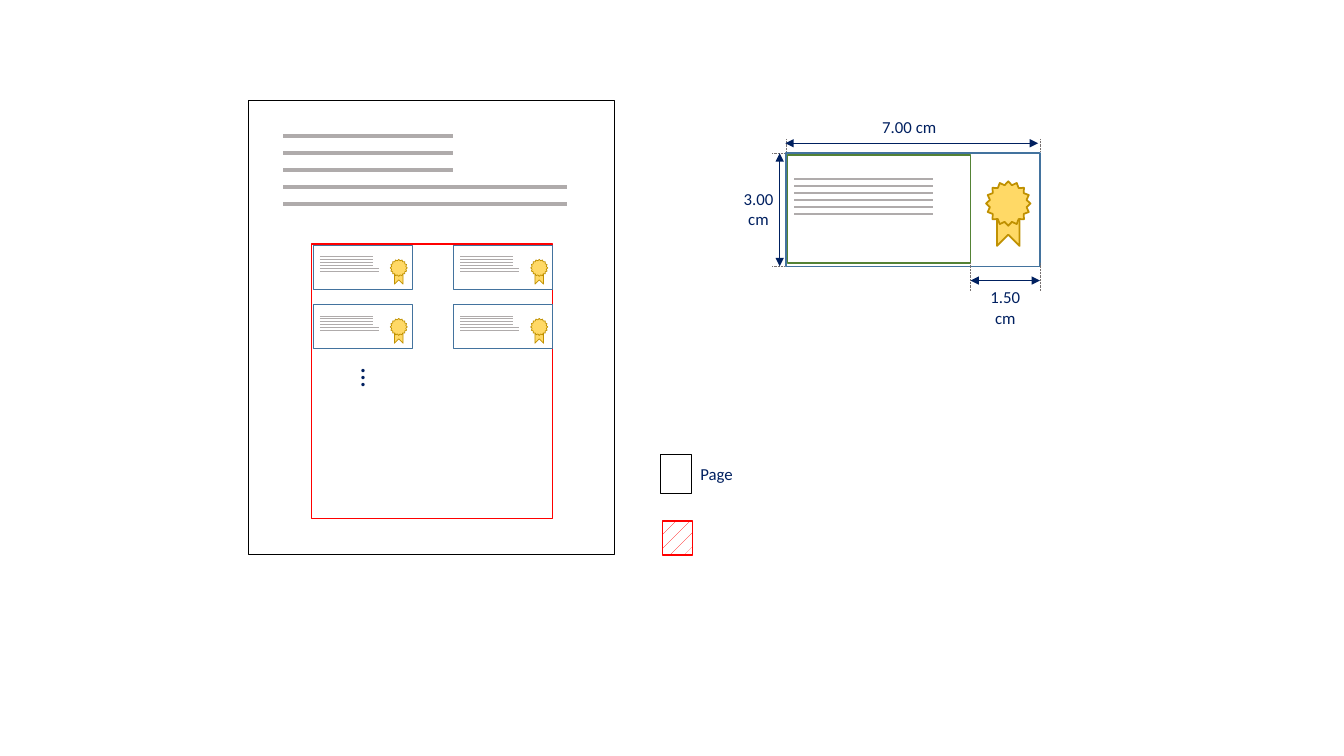
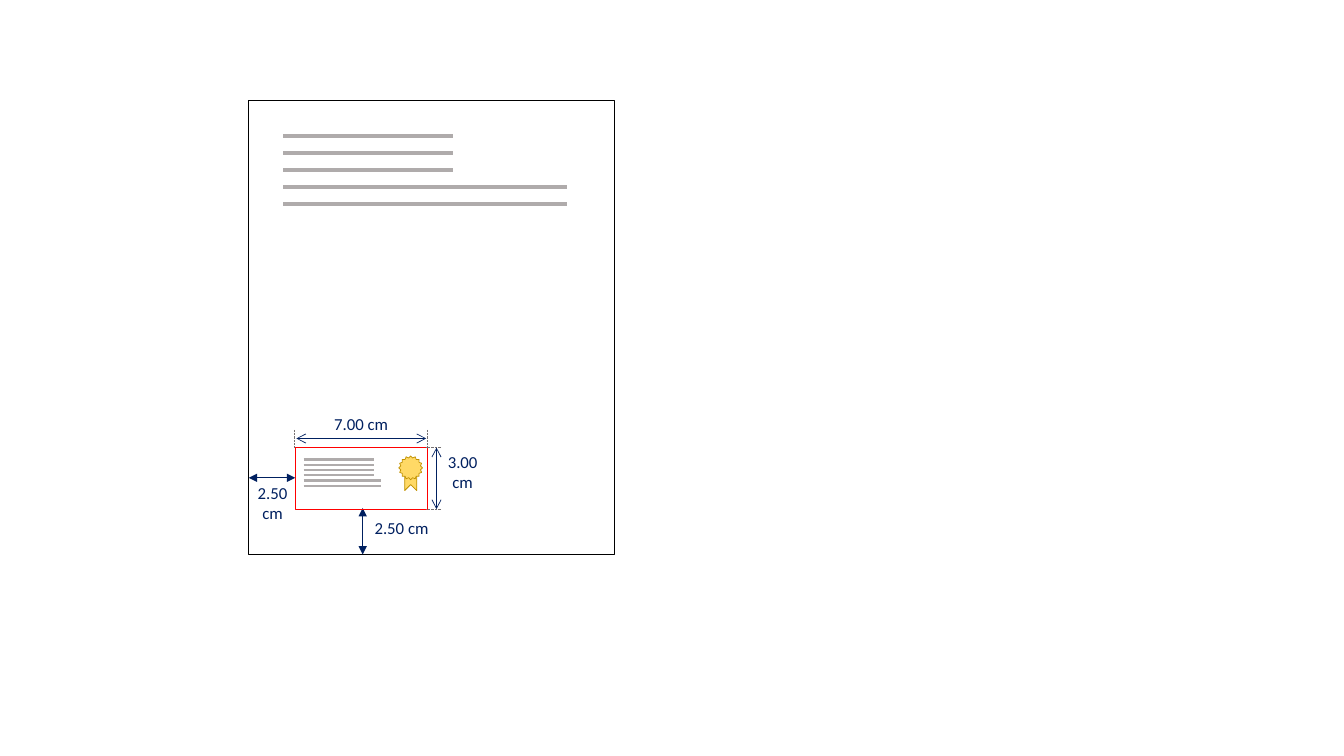
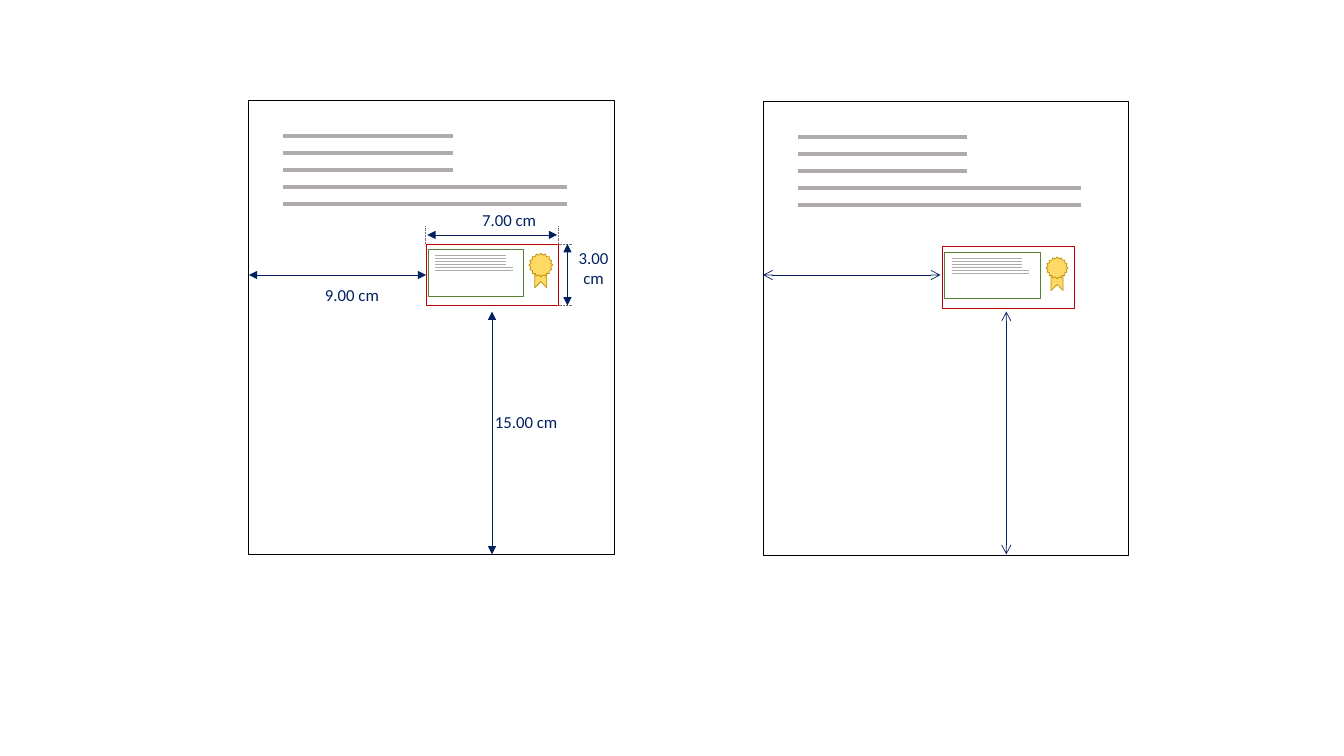
from lxml.etree import SubElement
from pptx import Presentation
from pptx.dml.color import RGBColor
from pptx.enum.dml import MSO_LINE, MSO_PATTERN
from pptx.enum.shapes import MSO_CONNECTOR, MSO_SHAPE
from pptx.enum.text import MSO_AUTO_SIZE, PP_ALIGN
from pptx.oxml.ns import qn
from pptx.util import Cm, Pt

COLORS = {
    "ink": "002060", "black": "000000", "white": "FFFFFF", "bar": "AFABAB",
    "guide": "767171", "red": "FF0000", "dark_red": "C00000",
    "blue": "43739E", "green": "548235", "gold": "FFD966",
    "ribbon_edge": "C09102", "star_edge": "BF9000",
}
FONT = "Calibri"
SHEET_WIDTH, SHEET_HEIGHT = 9.22, 11.43
STAMP_WIDTH, STAMP_HEIGHT = 3.33, 1.55
STAMP_BARS = [1.78] * 4 + [1.96] * 2


def color(name):
    return RGBColor.from_string(COLORS[name])


class Sketch:
    """Holds the deck, its style and the current page; lengths are in cm."""

    def __init__(self):
        self.deck = Presentation()
        self.deck.slide_width, self.deck.slide_height = Cm(33.87), Cm(19.05)
        self.page = None

    def new_page(self):
        self.page = self.deck.slides.add_slide(self.deck.slide_layouts[6])

    # Basic elements
    def shape(self, kind, left, top, width, height, edge, weight, fill=None):
        box = self.page.shapes.add_shape(
            kind, Cm(left), Cm(top), Cm(width), Cm(height))
        box.shadow.inherit = False
        box.line.color.rgb = color(edge)
        box.line.width = Pt(weight)
        if fill:
            box.fill.solid()
            box.fill.fore_color.rgb = color(fill)
        else:
            box.fill.background()
        return box

    def frame(self, left, top, width, height, edge, weight=0.75):
        return self.shape(MSO_SHAPE.RECTANGLE, left, top, width, height,
                          edge, weight)

    def line(self, x1, y1, x2, y2, stroke, weight, dash=None, head=None):
        connector = self.page.shapes.add_connector(
            MSO_CONNECTOR.STRAIGHT, Cm(x1), Cm(y1), Cm(x2), Cm(y2))
        connector.line.color.rgb = color(stroke)
        connector.line.width = Pt(weight)
        if dash:
            connector.line.dash_style = dash
        properties = connector.element.spPr
        if head:
            outline = properties.find(qn("a:ln"))
            for end in ("a:headEnd", "a:tailEnd"):
                SubElement(outline, qn(end), type=head)
        SubElement(properties, qn("a:effectLst"))

    def arrow(self, x1, y1, x2, y2, head="triangle"):
        self.line(x1, y1, x2, y2, "ink", 0.5, head=head)

    def guide(self, x1, y1, x2, y2):
        self.line(x1, y1, x2, y2, "guide", 0.5, dash=MSO_LINE.ROUND_DOT)

    def label(self, left, top, width, *texts, height=None, size=12,
              align=PP_ALIGN.CENTER, rotation=0):
        height = height or 0.25 + 0.51 * len(texts)
        box = self.page.shapes.add_textbox(
            Cm(left), Cm(top), Cm(width), Cm(height))
        box.rotation = rotation
        frame = box.text_frame
        frame.word_wrap = True
        frame.auto_size = MSO_AUTO_SIZE.SHAPE_TO_FIT_TEXT
        for index, text in enumerate(texts):
            para = frame.add_paragraph() if index else frame.paragraphs[0]
            para.alignment = align
            span = para.add_run()
            span.text = text
            span.font.name = FONT
            span.font.size = Pt(size)
            span.font.color.rgb = color("ink")

    # Composed elements
    def bars(self, left, top, bottom, widths, weight):
        step = (bottom - top) / (len(widths) - 1)
        for index, width in enumerate(widths):
            y = top + index * step
            self.line(left, y, left + width, y, "bar", weight)

    def sheet(self, left, top):
        self.frame(left, top, SHEET_WIDTH, SHEET_HEIGHT, "black")
        self.bars(left + 0.87, top + 0.89, top + 2.59,
                  [4.27] * 3 + [7.14] * 2, 2.75)

    def medal(self, center_x, center_y, size, weight=0.5, ribbon=None):
        length = ribbon or 1.27 * size
        breadth = 0.4 * length
        tails = self.shape(
            MSO_SHAPE.CHEVRON, center_x - length / 2,
            center_y + 0.25 * length - breadth / 2, length, breadth,
            "ribbon_edge", weight, "gold")
        tails.rotation = 270
        star = self.shape(
            MSO_SHAPE.STAR_16_POINT, center_x - size / 2, center_y - size / 2,
            size, size, "star_edge", weight, "gold")
        star.adjustments[0] = 0.42

    def small_stamp(self, left, top):
        self.frame(left, top, 2.49, 1.12, "blue")
        self.medal(left + 2.15, top + 0.57, 0.43)
        self.bars(left + 0.16, top + 0.29, top + 0.65,
                  [1.34] * 4 + [1.48] * 2, 0.5)

    def signed_stamp(self, left, top, star, ribbon):
        self.frame(left, top, STAMP_WIDTH, STAMP_HEIGHT, "dark_red")
        self.medal(left + 2.89, top + 0.53, star, ribbon=ribbon)
        self.frame(left + 0.05, top + 0.14, 2.41, 1.17, "green", 0.5)
        self.bars(left + 0.23, top + 0.3, top + 0.66, STAMP_BARS, 0.75)

    def stamp_size(self, left, top, head, label_shift):
        right, bottom = left + STAMP_WIDTH, top + STAMP_HEIGHT
        for y in (top, bottom):
            self.guide(right + 0.35, y, right - 0.04, y)
        for x in (right, left - 0.03):
            self.guide(x, top - 0.45, x, top)
        self.arrow(right + 0.23, top, right + 0.23, bottom, head)
        self.arrow(left + 0.03, top - 0.23, right - 0.03, top - 0.23, head)
        self.label(left + label_shift, top - 0.99, 2.2, "7.00 cm")
        self.label(left + 3.12, top - 0.03, 2.2, "3.00", "cm")


sketch = Sketch()

# Slide 1: stamp grid, legend and dimensions of one stamp
sketch.new_page()
sketch.sheet(6.27, 2.54)
sketch.frame(7.85, 6.15, 6.07, 6.91, "red", 1)
sketch.frame(16.64, 11.46, 0.79, 0.97, "black")
sketch.label(17.4, 11.56, 2.18, "Page", align=PP_ALIGN.LEFT)
swatch = sketch.frame(16.69, 13.13, 0.76, 0.86, "red", 1)
swatch.fill.patterned()
swatch.fill.pattern = MSO_PATTERN.PERCENT_5
swatch.fill.fore_color.rgb = color("red")
swatch.fill.back_color.rgb = color("white")
for row in range(2):
    for column in range(2):
        sketch.small_stamp(7.9 + 3.54 * column, 6.18 + 1.49 * row)
sketch.label(8.61, 8.97, 1.55, "...", height=1.12, size=20, rotation=90)

left, top, right, bottom, split = 19.81, 3.86, 26.21, 6.71, 24.46
sketch.frame(left, top, right - left, bottom - top, "blue", 1)
sketch.medal(25.41, 5.13, 1.12, 1.25)
sketch.frame(19.84, 3.91, 4.62, 2.72, "green", 1)
sketch.bars(20.02, 4.52, 5.4, [3.5] * 6, 1.5)
sketch.arrow(split, 7.07, right, 7.07)
for x in (split, right):
    sketch.guide(x, 6.63, x, 7.34)
sketch.label(24.56, 7.11, 1.55, "1.50", "cm")
for x in (left, right):
    sketch.guide(x, 3.51, x, 3.82)
sketch.label(21.67, 2.82, 2.49, "7.00 cm")
for y in (top, bottom):
    sketch.guide(19.46, y, 19.78, y)
sketch.arrow(19.65, top, 19.65, bottom)
sketch.label(18.34, 4.62, 1.55, "3.00", "cm")
sketch.arrow(19.79, 3.61, 26.16, 3.61)

# Slide 2: stamp near the bottom left corner
sketch.new_page()
sketch.sheet(6.27, 2.54)
sketch.arrow(9.14, 12.8, 9.14, 13.97)
sketch.frame(7.44, 11.28, STAMP_WIDTH, STAMP_HEIGHT, "red")
sketch.medal(10.35, 11.79, 0.6)
sketch.bars(7.65, 11.58, 12.24, STAMP_BARS, 1.75)
sketch.stamp_size(7.44, 11.28, "arrow", 0.56)
sketch.label(9.02, 12.93, 2.2, "2.50 cm")
sketch.label(5.77, 12.04, 2.2, "2.50", "cm")
sketch.arrow(7.44, 12.04, 6.27, 12.04)

# Slide 3: stamp placed by offsets, with and without measures
sketch.new_page()
for sheet_left, sheet_top, stamp_left, stamp_top, star, ribbon, head in (
    (6.27, 2.54, 10.74, 6.15, 0.6, 0.76, "triangle"),
    (19.23, 2.57, 23.75, 6.22, 0.55, 0.76, "arrow"),
):
    sketch.sheet(sheet_left, sheet_top)
    sketch.arrow(sheet_left, 6.93, sheet_left + 4.47, 6.93, head)
    sketch.arrow(sheet_left + 6.13, 7.85, sheet_left + 6.13, 13.97, head)
    sketch.signed_stamp(stamp_left, stamp_top, star, ribbon)
sketch.stamp_size(10.74, 6.15, "triangle", 0.99)
sketch.label(7.77, 7.06, 2.2, "9.00 cm")
sketch.label(12.17, 10.24, 2.18, "15.00 cm")

sketch.deck.save("out.pptx")
